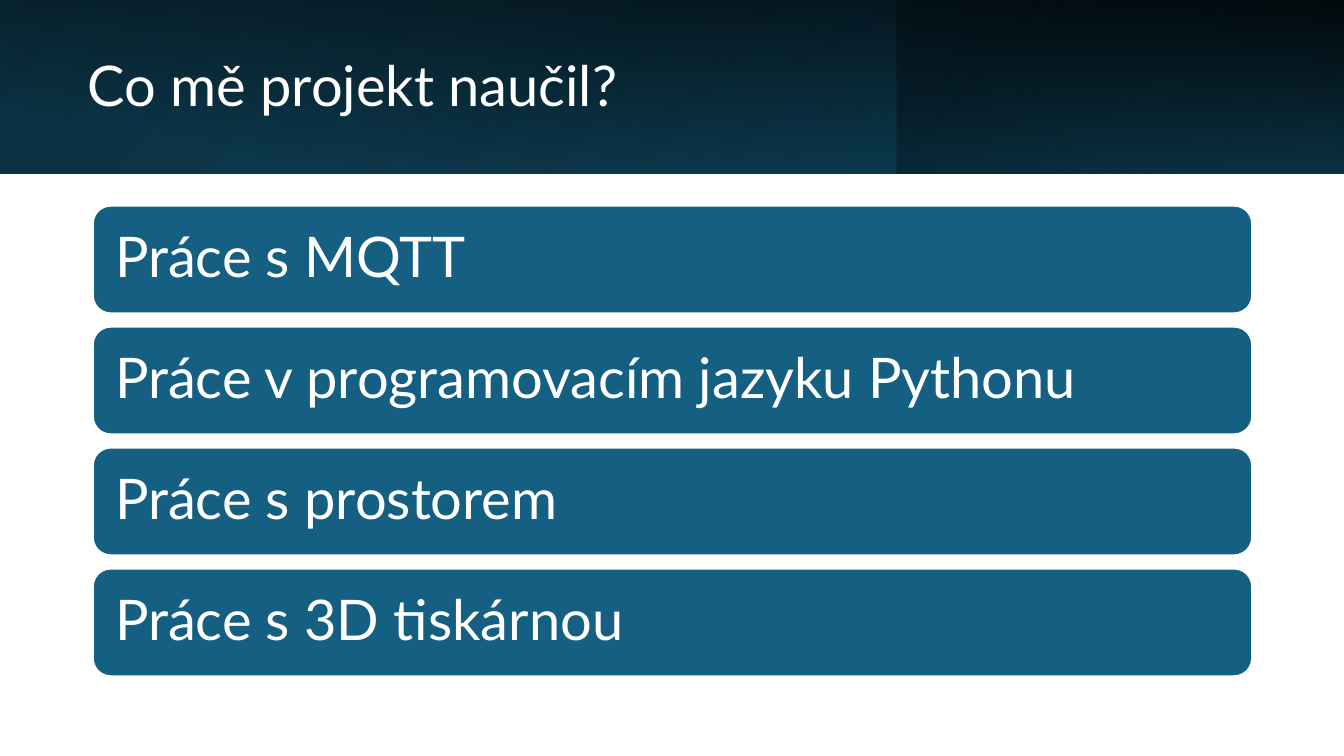
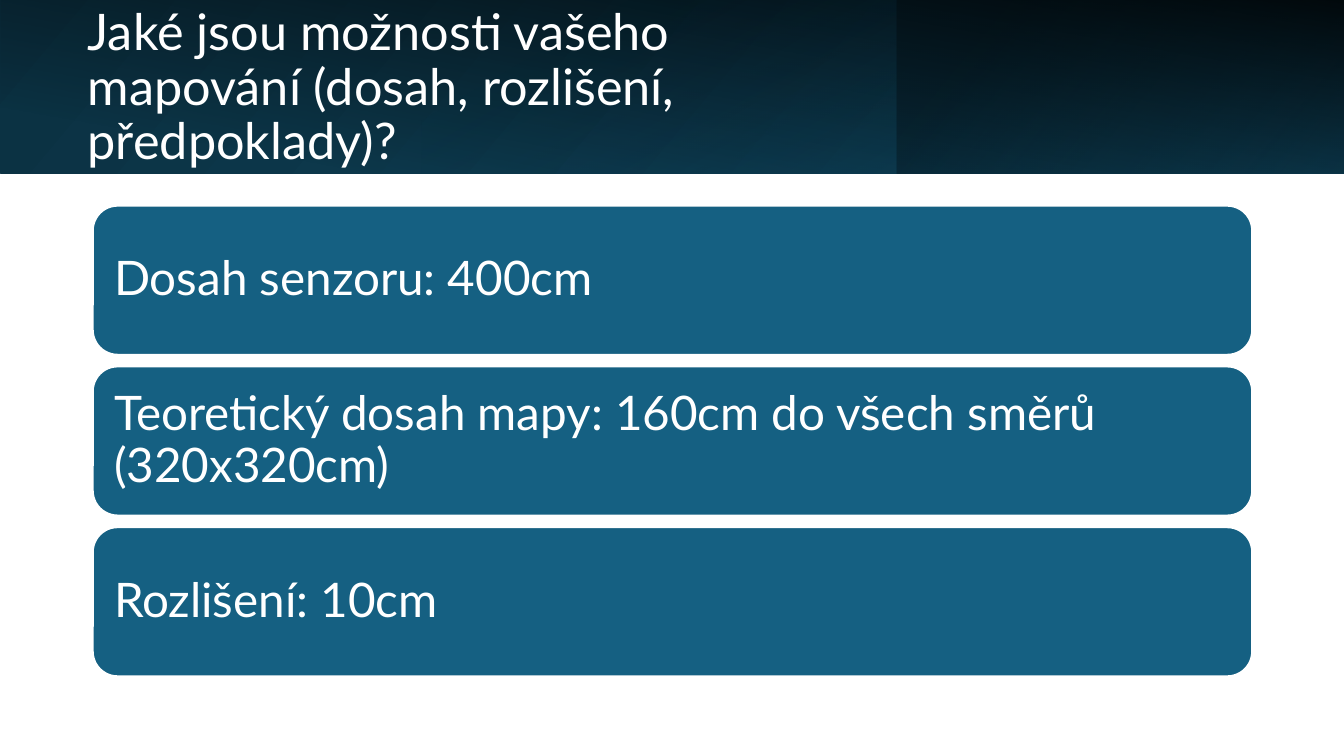
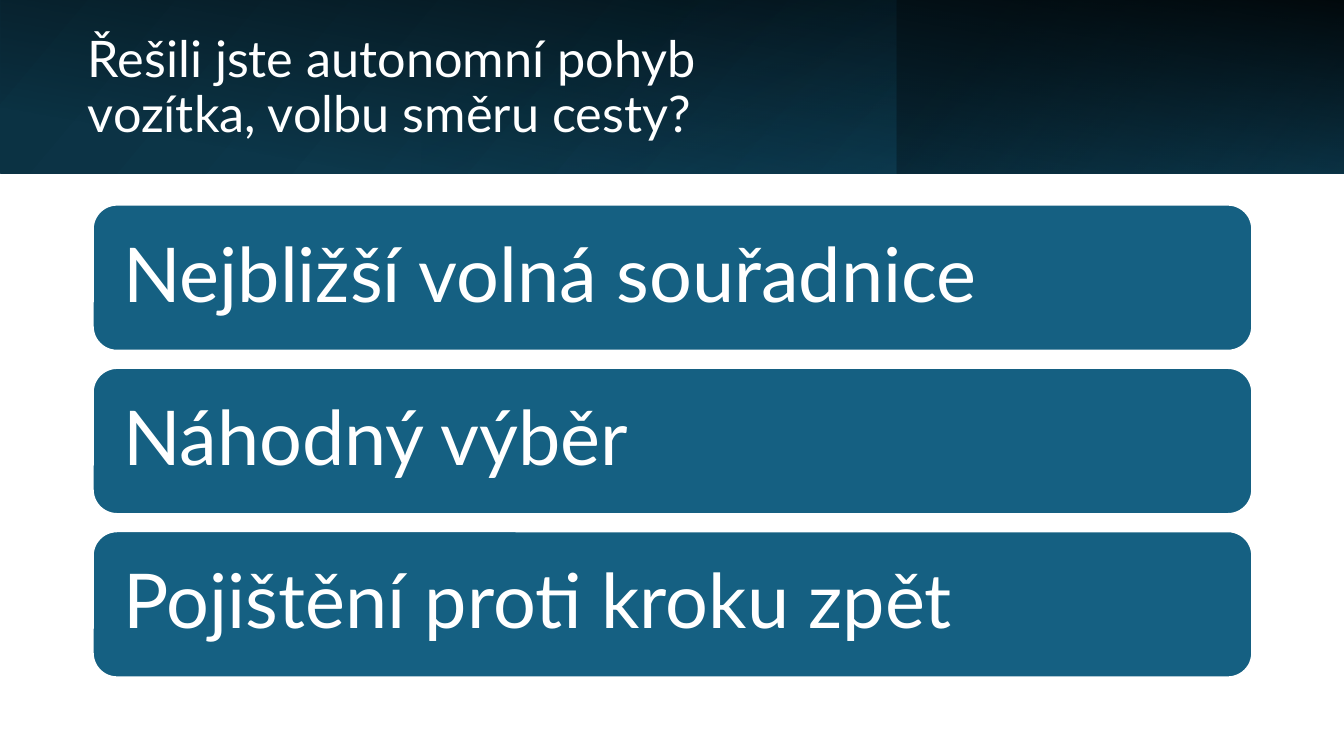
from pptx import Presentation
from pptx.dml.color import RGBColor
from pptx.enum.shapes import MSO_SHAPE
from pptx.enum.text import MSO_ANCHOR, MSO_AUTO_SIZE, PP_ALIGN
from pptx.oxml import parse_xml
from pptx.oxml.ns import nsdecls
from pptx.util import Pt

RECT, ROUNDED = MSO_SHAPE.RECTANGLE, MSO_SHAPE.ROUNDED_RECTANGLE
MIDDLE, LEFT, NO_FIT = MSO_ANCHOR.MIDDLE, PP_ALIGN.LEFT, MSO_AUTO_SIZE.NONE

WHITE = RGBColor(0xFF, 0xFF, 0xFF)
BLACK = RGBColor(0x00, 0x00, 0x00)
TEAL = RGBColor(0x15, 0x60, 0x82)
DEEP = RGBColor(0x10, 0x48, 0x62)
NAVY = RGBColor(0x0B, 0x30, 0x41)

FONT = "Lato"
EMU_PER_PX = 9144
WIDTH, HEIGHT, BAND = 1333, 750, 172

BAND_LAYERS = [
    ((0, 0, WIDTH, BAND), 0, True, 140, [(0, NAVY, 100), (100, DEEP, 100)]),
    ((889, 0, 444, BAND), 180, True, 320, [(19, NAVY, 68), (100, TEAL, 79)]),
    (((WIDTH - BAND) / 2, (BAND - WIDTH) / 2, BAND, WIDTH), 90, False, 190,
     [(16, BLACK, 0), (99, BLACK, 87)]),
    ((418, 0, 471, BAND), 0, False, 240, [(0, TEAL, 17), (74, NAVY, 0)]),
]

SLIDES = [
    dict(title="Co mě projekt naučil?", title_size=40,
         top=204, bottom=671, height=107, inset=17, size=40,
         cards=["Práce s MQTT", "Práce v programovacím jazyku Pythonu",
                "Práce s prostorem", "Práce s 3D tiskárnou"]),
    dict(title="Jaké jsou možnosti vašeho mapování (dosah, rozlišení, předpoklady)?",
         title_size=36, top=204, bottom=671, height=148, inset=14, size=34,
         cards=["Dosah senzoru: 400cm",
                "Teoretický dosah mapy: 160cm do všech směrů (320x320cm)",
                "Rozlišení: 10cm"]),
    dict(title="Řešili jste autonomní pohyb vozítka, volbu směru cesty?",
         title_size=36, top=203, bottom=672, height=145, inset=23, size=54,
         cards=["Nejbližší volná souřadnice", "Náhodný výběr",
                "Pojištění proti kroku zpět"]),
]


def px(length):
    """Turn px into EMU."""
    return round(length * EMU_PER_PX)


class Deck:
    """Holds the style and the current slide."""

    def __init__(self):
        """Start an empty wide presentation."""
        self.prs = Presentation()
        self.prs.slide_width, self.prs.slide_height = px(WIDTH), px(HEIGHT)
        self.s = None

    def slide(self, title, size):
        """Add a slide with its band and title."""
        self.s = self.prs.slides.add_slide(self.prs.slide_layouts[5])
        for layer in BAND_LAYERS:
            self.layer(*layer)
        sp = self.s.shapes.title
        self.s.shapes._spTree.append(sp._element)
        sp.left, sp.top, sp.width, sp.height = map(px, (77, 39, 776, 98))
        self.text(sp.text_frame, title, size)

    def shape(self, kind, box):
        """Add a preset shape without a shadow."""
        sp = self.s.shapes.add_shape(kind, *map(px, box))
        sp.shadow.inherit = False
        return sp

    def layer(self, box, rotation, flipped, angle, stops):
        """Add a gradient rectangle of the title band."""
        sp = self.shape(RECT, box)
        sp.rotation = rotation
        sp.line.fill.background()
        sp.fill.background()
        spPr = sp._element.spPr
        if flipped:
            spPr.xfrm.set("flipH", "1")
        gs = "".join(
            f'<a:gs pos="{pos * 1000}"><a:srgbClr val="{color}">'
            f'<a:alpha val="{alpha * 1000}"/></a:srgbClr></a:gs>'
            for pos, color, alpha in stops)
        gradient = parse_xml(
            f'<a:gradFill {nsdecls("a")}><a:gsLst>{gs}</a:gsLst>'
            f'<a:lin ang="{angle * 60000}" scaled="0"/></a:gradFill>')
        spPr.replace(spPr.eg_fillProperties, gradient)

    def card(self, box, text, size, inset):
        """Add a rounded card with its text."""
        sp = self.shape(ROUNDED, box)
        sp.fill.solid()
        sp.fill.fore_color.rgb = TEAL
        sp.line.color.rgb = WHITE
        sp.line.width = Pt(1.5)
        tf = sp.text_frame
        tf.margin_left = tf.margin_right = px(inset)
        tf.margin_top = tf.margin_bottom = px(inset)
        self.text(tf, text, size)

    def cards(self, texts, top, bottom, height, inset, size):
        """Spread equal cards from top to bottom."""
        pitch = (bottom - top - height) / (len(texts) - 1)
        for i, text in enumerate(texts):
            self.card((92, top + i * pitch, 1150, height), text, size, inset)

    def text(self, tf, text, size):
        """Write one left-aligned paragraph in the middle of a frame."""
        tf.word_wrap = True
        tf.auto_size = NO_FIT
        tf.vertical_anchor = MIDDLE
        p = tf.paragraphs[0]
        p.alignment = LEFT
        p.line_spacing = 0.9
        r = p.add_run()
        r.text = text
        r.font.name, r.font.size = FONT, Pt(size)
        r.font.color.rgb = WHITE


def main():
    """Build and save the slides."""
    deck = Deck()
    for page in SLIDES:
        deck.slide(page["title"], page["title_size"])
        deck.cards(page["cards"], page["top"], page["bottom"],
                   page["height"], page["inset"], page["size"])
    deck.prs.save("out.pptx")


if __name__ == "__main__":
    main()
